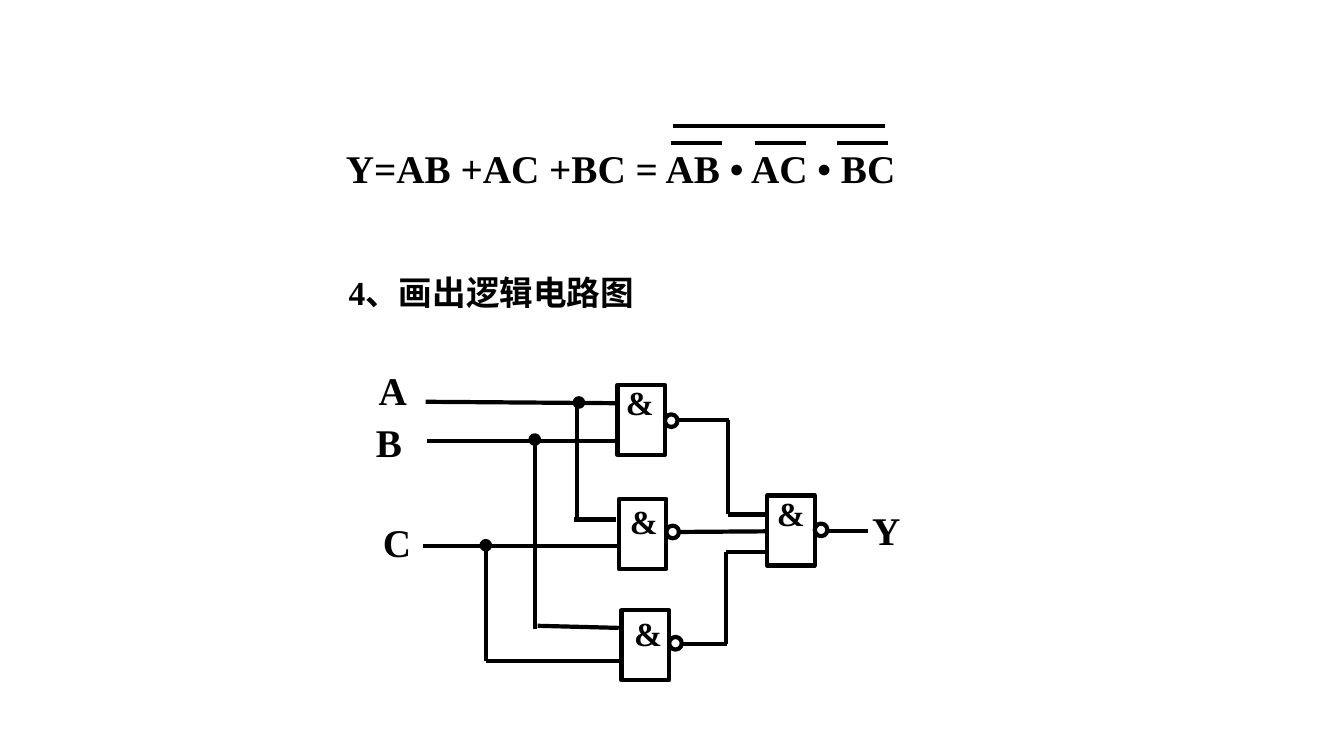
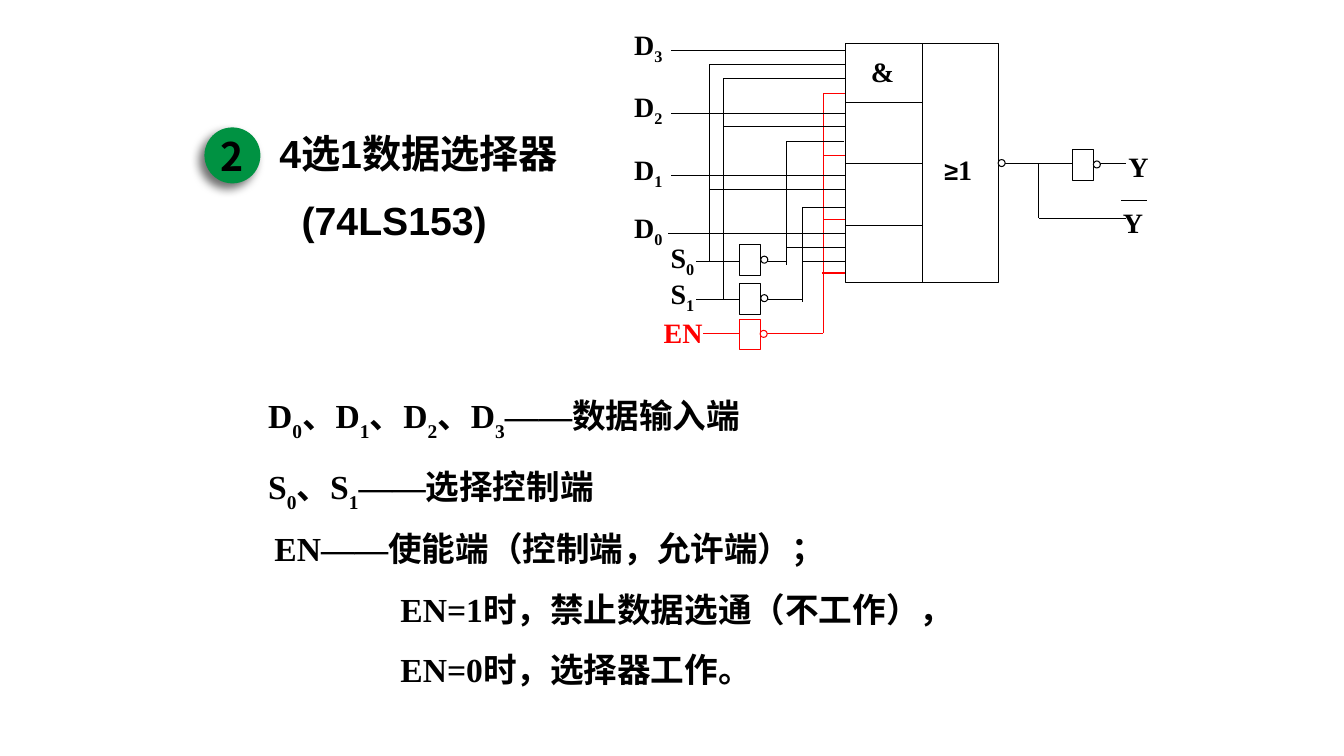
from dataclasses import dataclass
from typing import NamedTuple

from lxml import etree
from pptx import Presentation
from pptx.dml.color import RGBColor
from pptx.enum.shapes import MSO_CONNECTOR, MSO_SHAPE
from pptx.enum.text import MSO_ANCHOR, PP_ALIGN
from pptx.oxml.ns import qn
from pptx.util import Pt

RECTANGLE = MSO_SHAPE.RECTANGLE
OVAL = MSO_SHAPE.OVAL
STRAIGHT = MSO_CONNECTOR.STRAIGHT
MIDDLE = MSO_ANCHOR.MIDDLE
LEFT = PP_ALIGN.LEFT
CENTER = PP_ALIGN.CENTER

COLORS = {"ink": "000000", "paper": "FFFFFF", "enable": "FF0000", "badge": "009242"}
SERIF = "Times New Roman"
SANS = "Arial"
CHINESE = "Noto Sans CJK SC"
BOLD_LINE = 3
THIN_LINE = 0.75


class Wire(NamedTuple):
    points: list[tuple[float, float]]
    color: str = "ink"


class Line(NamedTuple):
    text: str
    indent: float = 0
    before: float = 0


@dataclass(frozen=True)
class Label:
    x: float
    y: float
    width: float
    lines: list[Line]
    size: float
    font: str = SERIF
    color: str = "ink"
    pitch: float = 0
    drop: int = -25
    align: PP_ALIGN = LEFT


@dataclass(frozen=True)
class GateStyle:
    width: float
    height: float
    bubble: float
    weight: float


@dataclass(frozen=True)
class Gate:
    x: float
    y: float
    bubble_y: float
    color: str = "ink"


NAND = GateStyle(34, 50, 9, BOLD_LINE)
INVERTER = GateStyle(15, 22, 5, THIN_LINE)


def rgb(name: str) -> RGBColor:
    return RGBColor.from_string(COLORS[name])


def draw_shape(page, kind, x: float, y: float, width: float, height: float,
               fill: str, line: str = "", weight: float = 0):
    shape = page.shapes.add_shape(kind, Pt(x), Pt(y), Pt(width), Pt(height))
    shape.shadow.inherit = False
    shape.fill.solid()
    shape.fill.fore_color.rgb = rgb(fill)
    if line:
        shape.line.color.rgb = rgb(line)
        shape.line.width = Pt(weight)
    else:
        shape.line.fill.background()
    return shape


def draw_wires(page, wires: list[Wire], weight: float) -> None:
    for wire in wires:
        for start, end in zip(wire.points, wire.points[1:]):
            line = page.shapes.add_connector(STRAIGHT, *(Pt(n) for n in start + end))
            line.line.color.rgb = rgb(wire.color)
            line.line.width = Pt(weight)
            etree.SubElement(line._element.spPr, qn("a:effectLst"))


def draw_gates(page, gates: list[Gate], style: GateStyle) -> None:
    for gate in gates:
        draw_shape(page, RECTANGLE, gate.x, gate.y, style.width, style.height,
                   "paper", gate.color, style.weight)
        draw_shape(page, OVAL, gate.x + style.width, gate.y + gate.bubble_y,
                   style.bubble, style.bubble, "paper", gate.color, style.weight)


def format_span(span, size: float, font: str, color: str = "ink", drop: int = 0) -> None:
    span.font.size = Pt(size)
    span.font.bold = True
    span.font.color.rgb = rgb(color)
    span.font.name = font
    properties = span._r.get_or_add_rPr()
    etree.SubElement(properties, qn("a:ea")).set("typeface", CHINESE)
    if drop:
        properties.set("baseline", str(drop * 1000))


def add_span(para, text: str, label: Label, drop: int = 0) -> None:
    if text:
        span = para.add_run()
        span.text = text
        format_span(span, label.size, label.font, label.color, drop)


def clear_insets(frame) -> None:
    frame.margin_left = frame.margin_right = Pt(0)
    frame.margin_top = frame.margin_bottom = Pt(0)


def draw_label(page, label: Label):
    pitch = label.pitch or 1.2 * label.size
    box = page.shapes.add_textbox(Pt(label.x), Pt(label.y), Pt(label.width),
                                  Pt(pitch * len(label.lines)))
    frame = box.text_frame
    frame.word_wrap = True
    clear_insets(frame)
    for index, line in enumerate(label.lines):
        para = frame.add_paragraph() if index else frame.paragraphs[0]
        para.alignment = label.align
        para.line_spacing = Pt(pitch)
        para.space_before = Pt(line.before)
        if line.indent:
            para._p.get_or_add_pPr().set("marL", str(Pt(line.indent)))
        plain, *pieces = line.text.split("_")
        add_span(para, plain, label)
        for piece in pieces:
            add_span(para, piece[0], label, label.drop)
            add_span(para, piece[1:], label)
    return box


def draw_labels(page, labels: list[Label]) -> None:
    for label in labels:
        draw_label(page, label)


def draw_badge(page) -> None:
    badge = draw_shape(page, OVAL, 146, 91, 40, 40, "badge")
    effects = badge._element.spPr.find(qn("a:effectLst"))
    shadow = etree.SubElement(effects, qn("a:outerShdw"), blurRad=str(Pt(7)),
                              dist=str(Pt(5)), dir=str(135 * 60000), algn="tr",
                              rotWithShape="0")
    tint = etree.SubElement(shadow, qn("a:srgbClr"), val=COLORS["ink"])
    etree.SubElement(tint, qn("a:alpha"), val="57000")
    frame = badge.text_frame
    frame.text = "2"
    frame.vertical_anchor = MIDDLE
    clear_insets(frame)
    para = frame.paragraphs[0]
    para.alignment = CENTER
    format_span(para.runs[0], 28, CHINESE)


def build_nand_page(page) -> None:
    draw_label(page, Label(247, 103, 440, [Line("Y=AB +AC +BC = AB • AC • BC")], 28))
    draw_label(page, Label(249, 194, 300, [Line("4、画出逻辑电路图")], 24))
    overbars = [(481, 632, 90), (479.5, 515.5, 102), (539, 576, 102), (598, 634, 102)]
    wires = [Wire([(left, y), (right, y)]) for left, right, y in overbars]
    wires += [
        Wire([(304, 287), (440, 288)]),
        Wire([(305, 315), (442, 315)]),
        Wire([(302, 390), (442, 390)]),
        Wire([(412, 287), (412, 371)]),
        Wire([(410, 371), (440, 371)]),
        Wire([(382, 315), (382, 449)]),
        Wire([(384, 447), (442, 448.5)]),
        Wire([(347, 390), (347, 472), (446, 472)]),
        Wire([(485, 300), (521, 300)]),
        Wire([(520, 300), (520, 367.5), (548, 367.5)]),
        Wire([(484, 380), (554, 379.5)]),
        Wire([(485, 460), (519, 460)]),
        Wire([(518.5, 460), (518.5, 394.5), (549, 394.5)]),
        Wire([(590, 379.5), (620, 379.5)]),
    ]
    draw_wires(page, wires, BOLD_LINE)
    for x, y in [(413.5, 287.5), (382, 314), (347, 389.5)]:
        draw_shape(page, OVAL, x - 3, y - 3, 6, 6, "ink", "ink", BOLD_LINE)
    gates = [Gate(441, 275, 21), Gate(442, 356.5, 19), Gate(444, 436, 19),
             Gate(548, 354, 20)]
    draw_gates(page, gates, NAND)
    for gate, (right, down) in zip(gates, [(6, -2), (8, 1.5), (9, 1.5), (7, -2)]):
        draw_label(page, Label(gate.x + right, gate.y + down, 24, [Line("&")], 24))
    pins = [("A", 270.5, 262), ("B", 268.5, 299), ("C", 273.5, 370), ("Y", 623, 361.5)]
    draw_labels(page, [Label(x, y, 28, [Line(name)], 28) for name, x, y in pins])


def build_selector_page(page) -> None:
    block_x, block_y, block_width, block_height = 604, 31, 109, 171
    divider_x = 659
    enable = [Wire([(block_x, y), (x, y)], "enable")
              for x, y in [(588, 67), (588, 111), (588, 157), (587, 195)]]
    enable.append(Wire([(588, 67), (588, 238), (502, 238)], "enable"))
    draw_wires(page, enable, THIN_LINE)
    draw_shape(page, RECTANGLE, block_x, block_y, block_width, block_height,
               "paper", "ink", THIN_LINE)
    wires = [Wire([(block_x, y), (divider_x, y)]) for y in (73, 117, 161)]
    stubs = [(479, 36), (479, 81), (479, 125.5), (477, 166.5), (573, 186.5),
             (562, 176.5), (517, 90.5), (507, 135.5)]
    wires += [Wire([(block_x, y), (x, y)]) for x, y in stubs]
    wires += [
        Wire([(divider_x, block_y), (divider_x, block_y + block_height)]),
        Wire([(block_x, 148.5), (573, 148.5), (573, 216)]),
        Wire([(603, 101), (562, 101), (562, 189)]),
        Wire([(573, 214), (497, 214)]),
        Wire([(562, 186.5), (497, 186.5)]),
        Wire([(507, 186.5), (507, 46), (block_x, 46)]),
        Wire([(517, 214), (517, 56), (block_x, 56)]),
        Wire([(block_x + block_width, 117), (804, 117)]),
        Wire([(742, 117), (742, 156), (804, 156)]),
        Wire([(801, 143), (819, 143)]),
    ]
    draw_wires(page, wires, THIN_LINE)
    draw_gates(page, [Gate(528, 228, 8, "enable"), Gate(528.5, 175, 8),
                      Gate(528.5, 202.5, 8), Gate(766, 107, 8)], INVERTER)
    draw_shape(page, OVAL, block_x + block_width, 114, INVERTER.bubble, INVERTER.bubble,
               "paper", "ink", THIN_LINE)
    pins = [("D_3", 453, 23), ("D_2", 453, 67.5), ("D_1", 453, 112), ("D_0", 453, 153.5),
            ("S_0", 479, 175), ("S_1", 479, 201), ("Y", 806, 107), ("Y", 802, 147),
            ("&", 622, 39)]
    draw_labels(page, [Label(x, y, 30, [Line(name)], 20) for name, x, y in pins])
    draw_label(page, Label(474, 225, 32, [Line("EN")], 20, color="enable"))
    summing = draw_label(page, Label(669, 109, 31, [Line("≥")], 18, SANS, pitch=24,
                                     align=CENTER))
    span = summing.text_frame.paragraphs[0].add_run()
    span.text = "1"
    format_span(span, 20, SERIF)
    draw_labels(page, [
        Label(199.5, 92.5, 228, [Line("4选1数据选择器"), Line("(74LS153)", 16, 14)],
              28, SANS),
        Label(191.5, 265, 404, [Line("D_0、D_1、D_2、D_3——数据输入端"),
                                Line("S_0、S_1——选择控制端")], 24, pitch=51, drop=-30),
        Label(196, 363, 494, [Line("EN——使能端（控制端，允许端）；"),
                              Line("EN=1时，禁止数据选通（不工作），", 90),
                              Line("EN=0时，选择器工作。", 90)], 24, pitch=43.2),
    ])
    draw_badge(page)


def main() -> None:
    deck = Presentation()
    deck.slide_width, deck.slide_height = Pt(960), Pt(540)
    for build in (build_nand_page, build_selector_page):
        build(deck.slides.add_slide(deck.slide_layouts[6]))
    deck.save("out.pptx")


if __name__ == "__main__":
    main()
